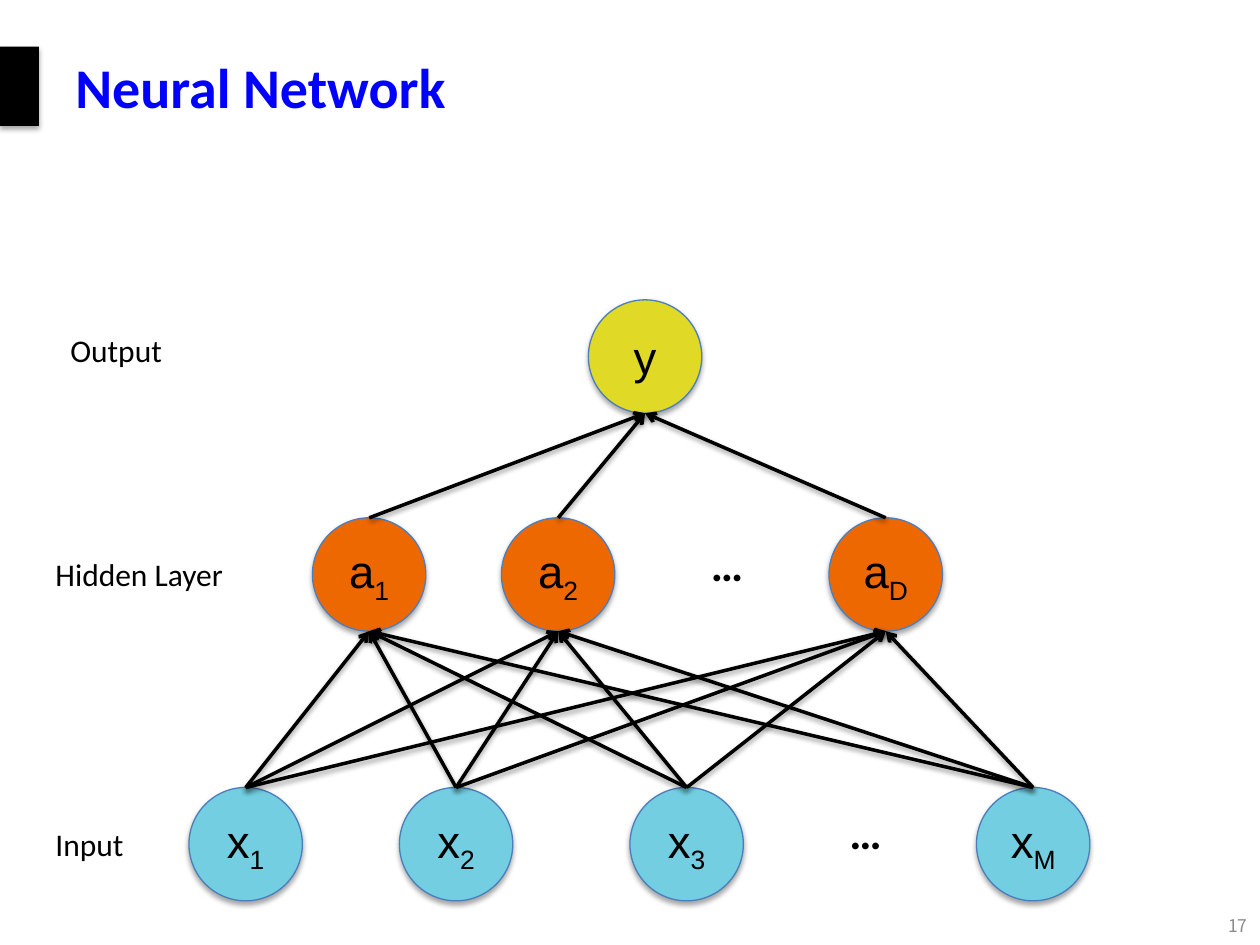
import pptx
import pptx.util
import pptx.dml.color
import pptx.enum.shapes
import pptx.enum.text
import pptx.oxml
import pptx.oxml.ns
from pptx.util import Inches

THEME = {
    "title": "0000FF", "ink": "000000", "number": "8C8C8C", "edge": "4B7EBC",
    "input": "72CEE0", "hidden": "EE6802", "output": "E0D925",
    "title_size": 32, "node_size": 26, "label_size": 18, "number_size": 10,
}
RGB = pptx.dml.color.RGBColor.from_string
SHAPE = pptx.enum.shapes.MSO_SHAPE
ALIGN = pptx.enum.text.PP_ALIGN
ANCHOR = pptx.enum.text.MSO_ANCHOR


def set_text(sp, text, sub="", size=THEME["label_size"], font="Calibri", color=THEME["ink"],
             bold=False, align=ALIGN.CENTER, anchor=ANCHOR.MIDDLE, wrap=True):
    tf = sp.text_frame
    tf.word_wrap = wrap
    tf.vertical_anchor = anchor
    p = tf.paragraphs[0]
    p.alignment = align
    for part in filter(None, (text, sub)):
        r = p.add_run()
        r.text = part
        r.font.size = pptx.util.Pt(size)
        r.font.name = font
        r.font.bold = bold
        r.font.color.rgb = RGB(color)
    if sub:
        r._r.get_or_add_rPr().set("baseline", "-25000")


def add_shadow(sp, alpha, dist):
    spPr = sp._element.spPr
    for old in spPr.findall(pptx.oxml.ns.qn("a:effectLst")):
        spPr.remove(old)
    spPr.append(pptx.oxml.parse_xml(
        f'<a:effectLst {pptx.oxml.ns.nsdecls("a")}>'
        f'<a:outerShdw blurRad="{pptx.util.Pt(3.1)}" dist="{pptx.util.Pt(dist)}" dir="5400000" rotWithShape="0">'
        f'<a:srgbClr val="{THEME["ink"]}"><a:alpha val="{alpha * 1000}"/></a:srgbClr>'
        '</a:outerShdw></a:effectLst>'))


prs = pptx.Presentation()
prs.slide_width, prs.slide_height = Inches(10), Inches(7.5)
s = prs.slides.add_slide(prs.slide_layouts[6])

# Side bar, title and page number
bar = s.shapes.add_shape(SHAPE.RECTANGLE, 0, Inches(0.37), Inches(0.31), Inches(0.63))
bar.fill.solid()
bar.fill.fore_color.rgb = RGB(THEME["ink"])
bar.line.fill.background()
add_shadow(bar, 35, 1.8)

title = s.shapes.add_textbox(Inches(0.5), Inches(0.06), Inches(9), Inches(1.25))
set_text(title, "Neural Network", size=THEME["title_size"], color=THEME["title"],
         bold=True, align=ALIGN.LEFT)
number = s.shapes.add_textbox(Inches(8.46), Inches(7.2), Inches(1.54), Inches(0.29))
set_text(number, "17", size=THEME["number_size"], font="Noto Sans CJK SC",
         color=THEME["number"], align=ALIGN.RIGHT)

# Nodes: layer, top, letter, and the left edge of each subscript
D = 0.9
layers = [
    ("output", 2.38, "y", {"": 4.67}),
    ("hidden", 4.11, "a", {"1": 2.48, "2": 3.98, "D": 6.58}),
    ("input", 6.25, "x", {"1": 1.5, "2": 3.17, "3": 5, "M": 7.75}),
]
for name, top, letter, nodes in layers:
    for sub, left in nodes.items():
        node = s.shapes.add_shape(SHAPE.FLOWCHART_CONNECTOR, Inches(left), Inches(top),
                                  Inches(D), Inches(D))
        node.fill.solid()
        node.fill.fore_color.rgb = RGB(THEME[name])
        node.line.color.rgb = RGB(THEME["edge"])
        node.line.width = pptx.util.Pt(0.75)
        add_shadow(node, 35, 1.8)
        set_text(node, letter, sub=sub, size=THEME["node_size"], font="Arial", wrap=False)

# Ellipses for the nodes left out
for left, top in [(5.48, 4.2), (6.58, 6.33)]:
    dots = s.shapes.add_textbox(Inches(left), Inches(top), Inches(0.58), Inches(0.54))
    set_text(dots, "…", size=THEME["node_size"], bold=True, wrap=False)

# Every node feeds every node of the layer above
for (_, top, _, uppers), (_, low_top, _, lowers) in zip(layers, layers[1:]):
    for upper in uppers.values():
        for lower in lowers.values():
            edge = s.shapes.add_connector(
                pptx.enum.shapes.MSO_CONNECTOR.STRAIGHT,
                Inches(upper + D / 2), Inches(top + D), Inches(lower + D / 2), Inches(low_top))
            edge.line.color.rgb = RGB(THEME["ink"])
            edge.line.width = pptx.util.Pt(2)
            edge.line._get_or_add_ln().append(pptx.oxml.parse_xml(
                f'<a:headEnd {pptx.oxml.ns.nsdecls("a")} type="arrow"/>'))
            add_shadow(edge, 38, 1.6)

# Layer labels
for text, left, top, width, align in [
    ("Output", 0.46, 2.58, 1.42, ALIGN.LEFT),
    ("Hidden Layer", -0.02, 4.36, 2.25, ALIGN.CENTER),
    ("Input", 0, 6.5, 1.42, ALIGN.CENTER),
]:
    label = s.shapes.add_textbox(Inches(left), Inches(top), Inches(width), Inches(0.4))
    set_text(label, text, align=align, anchor=ANCHOR.TOP)

prs.save("out.pptx")
